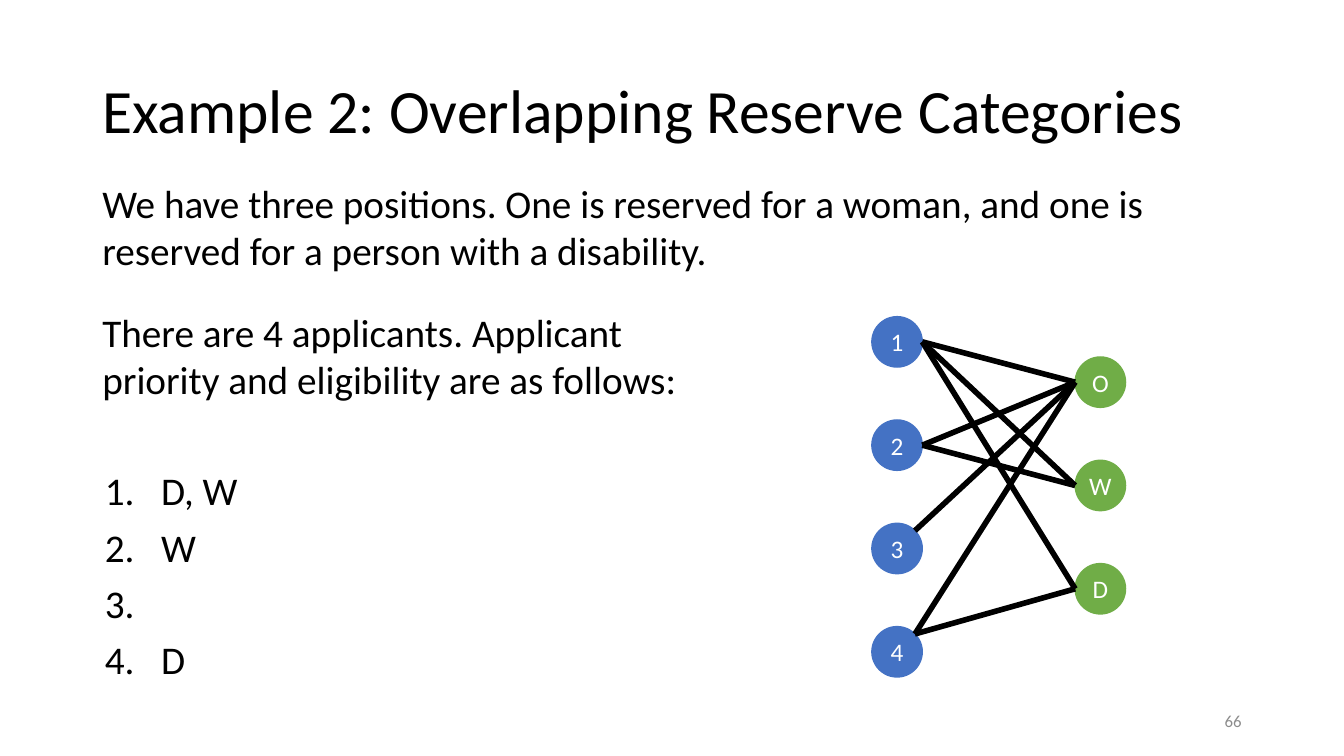
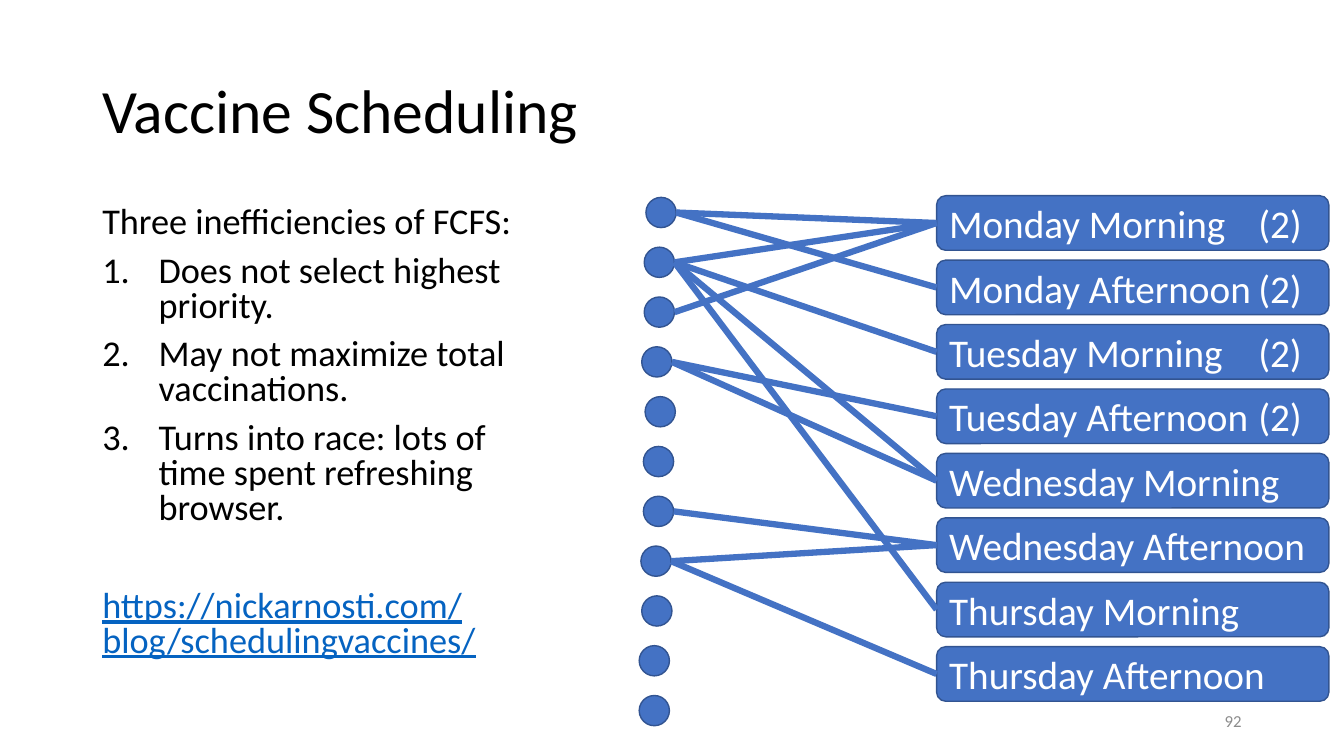
import math
from dataclasses import dataclass
from typing import Any, Optional

import lxml.etree
import pptx
import pptx.dml.color
import pptx.enum.shapes
import pptx.enum.text
import pptx.oxml.ns
import pptx.util

COLUMNS, ROWS = 160, 90
WIDTH = pptx.util.Inches(13.333)
CELL = WIDTH / COLUMNS

ALIGN = pptx.enum.text.PP_ALIGN
ANCHOR = pptx.enum.text.MSO_ANCHOR
SHAPE = pptx.enum.shapes.MSO_SHAPE


@dataclass(frozen=True)
class Theme:
    font: str = "Calibri"
    ink: str = "000000"
    paper: str = "FFFFFF"
    muted: str = "8C8C8C"
    link: str = "0563C1"
    blue: str = "4472C4"
    blue_edge: str = "325491"
    green: str = "70AD47"
    title: float = 44
    text: float = 28
    body: float = 25.9
    label: float = 18
    footer: float = 12
    indent: float = 6.7
    gap: float = 10


THEME = Theme()


@dataclass(frozen=True)
class Box:
    left: float
    top: float
    width: float
    height: float

    def rim(self, degrees: float) -> tuple[float, float]:
        angle = math.radians(degrees)
        return (self.left + self.width / 2 * (1 + math.cos(angle)),
                self.top + self.height / 2 * (1 - math.sin(angle)))

    @property
    def left_middle(self) -> tuple[float, float]:
        return self.left, self.top + self.height / 2


@dataclass(frozen=True)
class Edge:
    start: int
    end: int
    degrees: float = 0


TITLE = Box(11, 4.8, 138, 17.4)
PAGE_NUMBER = Box(113, 83.4, 36, 4.8)

NODE_SIZE, NODE_PITCH = 6, 12.3
APPLICANTS = [Box(103.8, 37.7 + NODE_PITCH * i, NODE_SIZE, NODE_SIZE) for i in range(4)]
POSITIONS = [Box(128, 42.5 + NODE_PITCH * i, NODE_SIZE, NODE_SIZE) for i in range(3)]
ELIGIBILITY = [Edge(0, 0), Edge(0, 1), Edge(0, 2), Edge(1, 0), Edge(1, 1),
               Edge(2, 0, 45), Edge(3, 0, 45), Edge(3, 2, 45)]

PATIENT_LEFTS = [76.9, 76.7, 76.7, 76.4, 76.8, 76.6, 76.6, 76.3, 76.4, 76.1, 76.1]
PATIENTS = [Box(left, 23.5 + 5.93 * i, 3.6, 3.6) for i, left in enumerate(PATIENT_LEFTS)]
SLOTS = ["Monday Morning\t(2)", "Monday Afternoon\t(2)",
         "Tuesday Morning\t(2)", "Tuesday Afternoon\t(2)",
         "Wednesday Morning", "Wednesday Afternoon",
         "Thursday Morning", "Thursday Afternoon"]
SLOT_TAB = 36.8
AVAILABILITY = [Edge(0, 0), Edge(0, 1), Edge(1, 0), Edge(1, 2), Edge(1, 4), Edge(1, 6),
                Edge(2, 0), Edge(3, 4), Edge(3, 3), Edge(6, 5), Edge(7, 5), Edge(7, 7)]


def cells(count: float) -> int:
    return round(count * CELL)


def place(box: Box) -> tuple[int, int, int, int]:
    return cells(box.left), cells(box.top), cells(box.width), cells(box.height)


def rgb(color: str) -> Any:
    return pptx.dml.color.RGBColor.from_string(color)


def write(tf: Any, text: str, *, size: float = THEME.text, color: str = THEME.ink,
          align: Any = ALIGN.LEFT, spacing: float = 1, before: float = 0,
          numbered: bool = False, tab: Optional[float] = None,
          underline: bool = False) -> None:
    first = tf.paragraphs[0]
    p = tf.add_paragraph() if first.runs else first
    p.text = text
    p.alignment = align
    p.line_spacing = spacing
    p.space_before = pptx.util.Pt(0 if p is first else before)
    props = p._p.get_or_add_pPr()
    qn = pptx.oxml.ns.qn
    if numbered:
        props.set("marL", str(cells(THEME.indent)))
        props.set("indent", str(-cells(THEME.indent)))
        lxml.etree.SubElement(props, qn("a:buFont"), typeface="+mj-lt")
        lxml.etree.SubElement(props, qn("a:buAutoNum"), type="arabicPeriod")
    if tab is not None:
        tabs = lxml.etree.SubElement(props, qn("a:tabLst"))
        lxml.etree.SubElement(tabs, qn("a:tab"), pos=str(cells(tab)), algn="l")
    for r in p.runs:
        r.font.name = THEME.font
        r.font.size = pptx.util.Pt(size)
        r.font.color.rgb = rgb(color)
        if underline:
            r.font.underline = True


def add_text_box(s: Any, box: Box, anchor: Any = ANCHOR.TOP) -> Any:
    tf = s.shapes.add_textbox(*place(box)).text_frame
    tf.word_wrap = True
    tf.vertical_anchor = anchor
    return tf


def add_shape(s: Any, kind: Any, box: Box, fill: str, edge: str) -> Any:
    sp = s.shapes.add_shape(kind, *place(box))
    sp.shadow.inherit = False
    sp.fill.solid()
    sp.fill.fore_color.rgb = rgb(fill)
    sp.line.color.rgb = rgb(edge)
    sp.line.width = pptx.util.Pt(1)
    sp.text_frame.vertical_anchor = ANCHOR.MIDDLE
    return sp


def add_node(s: Any, box: Box, label: str, color: str) -> None:
    tf = add_shape(s, SHAPE.OVAL, box, color, color).text_frame
    tf.margin_left = tf.margin_right = tf.margin_top = tf.margin_bottom = 0
    write(tf, label, size=THEME.label, color=THEME.paper, align=ALIGN.CENTER)


def add_line(s: Any, start: tuple[float, float], end: tuple[float, float],
             color: str, width: float) -> Any:
    line = s.shapes.add_connector(pptx.enum.shapes.MSO_CONNECTOR.STRAIGHT,
                                  *map(cells, start + end))
    line.line.color.rgb = rgb(color)
    line.line.width = pptx.util.Pt(width)
    lxml.etree.SubElement(line._element.spPr, pptx.oxml.ns.qn("a:effectLst"))
    return line


def add_slide(prs: Any, title: str, number: int) -> Any:
    s = prs.slides.add_slide(prs.slide_layouts[6])
    write(add_text_box(s, TITLE, ANCHOR.MIDDLE), title, size=THEME.title, spacing=0.9)
    write(add_text_box(s, PAGE_NUMBER, ANCHOR.MIDDLE), str(number),
          size=THEME.footer, color=THEME.muted, align=ALIGN.RIGHT)
    return s


def build_reserves(prs: Any) -> None:
    s = add_slide(prs, "Example 2: Overlapping Reserve Categories", 66)
    for box, label in zip(POSITIONS, "OWD"):
        add_node(s, box, label, THEME.green)
    for box, label in zip(APPLICANTS, "1234"):
        add_node(s, box, label, THEME.blue)
    for edge in ELIGIBILITY:
        add_line(s, APPLICANTS[edge.start].rim(edge.degrees),
                 POSITIONS[edge.end].left_middle, THEME.ink, 4)
    write(add_text_box(s, Box(11, 20.8, 138, 12.5)),
          "We have three positions. One is reserved for a woman, "
          "and one is reserved for a person with a disability.")
    write(add_text_box(s, Box(11, 36.1, 77.8, 12.5)),
          "There are 4 applicants. Applicant priority and eligibility are as follows:")
    tf = add_text_box(s, Box(11.3, 55.6, 21.1, 28))
    for categories in ("D, W", "W", " ", "D"):
        write(tf, categories, numbered=True, spacing=0.9, before=THEME.gap)


def build_scheduling(prs: Any) -> None:
    s = add_slide(prs, "Vaccine Scheduling", 92)
    tf = add_text_box(s, Box(11, 24, 55.7, 57.1))
    write(tf, "Three inefficiencies of FCFS:", size=THEME.body, spacing=0.8)
    for problem in ("Does not select highest priority.",
                    "May not maximize total vaccinations.",
                    "Turns into race: lots of time spent refreshing browser."):
        write(tf, problem, size=THEME.body, spacing=0.8, before=THEME.gap, numbered=True)
    write(tf, "https://nickarnosti.com/\vblog/schedulingvaccines/", size=THEME.body,
          color=THEME.link, spacing=0.8, before=45, underline=True)

    slots = []
    for i, label in enumerate(SLOTS):
        sp = add_shape(s, SHAPE.ROUNDED_RECTANGLE, Box(111.5, 23.3 + 7.67 * i, 46.7, 6.5),
                       THEME.blue, THEME.blue_edge)
        write(sp.text_frame, label, color=THEME.paper,
              tab=SLOT_TAB if "\t" in label else None)
        slots.append(sp)
    for box in PATIENTS:
        add_shape(s, SHAPE.OVAL, box, THEME.blue, THEME.blue_edge)
    for edge in AVAILABILITY:
        start = PATIENTS[edge.start].rim(edge.degrees)
        line = add_line(s, start, start, THEME.blue, 4.5)
        line.end_connect(slots[edge.end], 1)


def main() -> None:
    prs = pptx.Presentation()
    prs.slide_width = WIDTH
    prs.slide_height = cells(ROWS)
    build_reserves(prs)
    build_scheduling(prs)
    prs.save("out.pptx")


if __name__ == "__main__":
    main()
